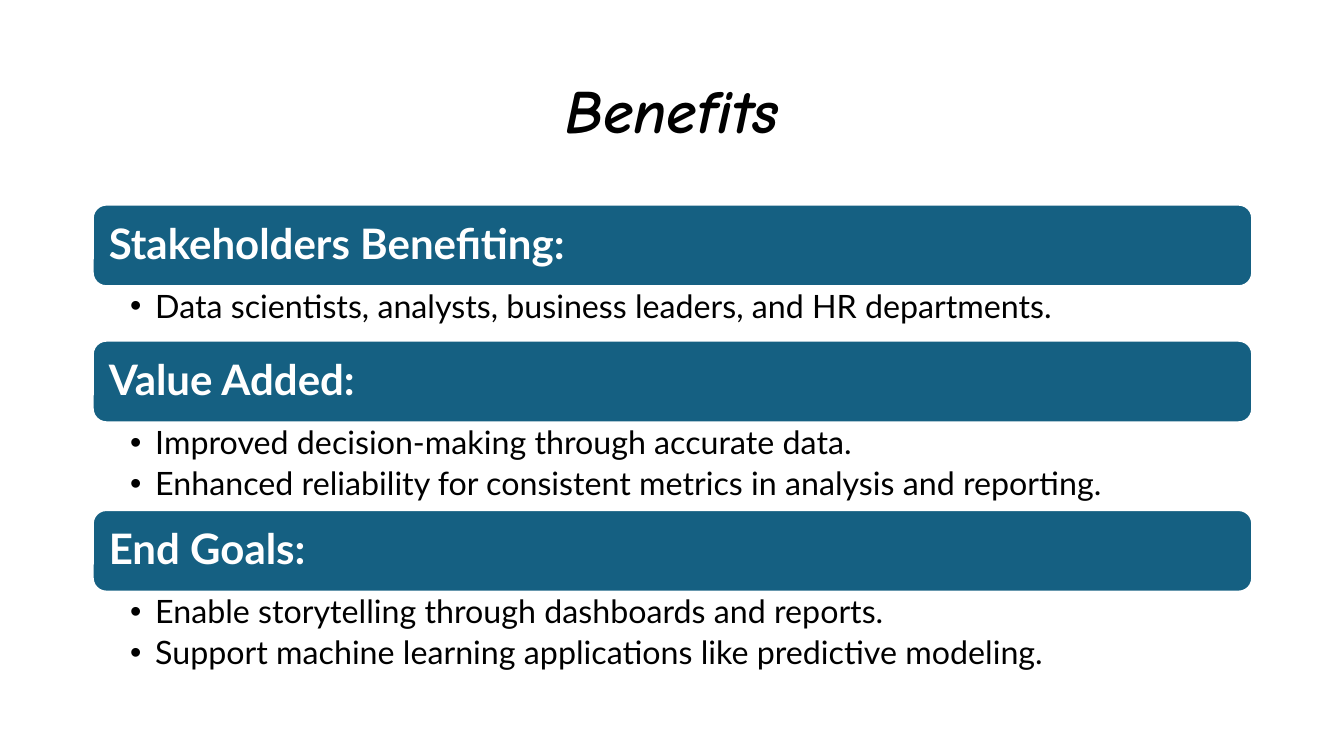
from pptx import Presentation
from pptx.dml.color import RGBColor as RGB
from pptx.enum.shapes import MSO_SHAPE as SHAPE
from pptx.enum.text import MSO_ANCHOR as ANCHOR, PP_ALIGN as ALIGN
from pptx.oxml.ns import qn
from pptx.util import Inches, Pt
from lxml import etree

COLORS = {"bar": "156082", "white": "FFFFFF", "black": "000000"}
LEFT, WIDTH = 0.92, 11.5
TOP, BAR = 2.03, 0.81
DEPTHS = {1: 0.54, 2: 0.87}  # list height by number of points

GROUPS = [
    ("Stakeholders Benefiting:", [
        "Data scientists, analysts, business leaders, and HR departments.",
    ]),
    ("Value Added:", [
        "Improved decision-making through accurate data.",
        "Enhanced reliability for consistent metrics in analysis and reporting.",
    ]),
    ("End Goals:", [
        "Enable storytelling through dashboards and reports.",
        "Support machine learning applications like predictive modeling.",
    ]),
]


def color(name):
    return RGB.from_string(COLORS[name])


def set_frame(frame, anchor, left, top, right, bottom):
    frame.word_wrap = True
    frame.vertical_anchor = anchor
    frame.margin_left, frame.margin_right = Inches(left), Inches(right)
    frame.margin_top, frame.margin_bottom = Inches(top), Inches(bottom)


def style(para, size, shade, face="Lato", bold=False, italic=False, align=ALIGN.LEFT):
    para.alignment = align
    para.line_spacing = 0.9
    for run in para.runs:
        font = run.font
        font.name, font.size = face, Pt(size)
        font.bold, font.italic = bold, italic
        font.color.rgb = color(shade)


def add_bullet(para):
    props = para._p.get_or_add_pPr()
    props.set("marL", str(Inches(0.25)))
    props.set("indent", str(Inches(-0.25)))
    etree.SubElement(props, qn("a:buFont")).set("typeface", "Arial")
    etree.SubElement(props, qn("a:buChar")).set("char", "•")


def add_title(slide, text):
    box = slide.shapes.add_textbox(
        Inches(LEFT), Inches(0.4), Inches(WIDTH), Inches(1.45))
    frame = box.text_frame
    set_frame(frame, ANCHOR.MIDDLE, 0.1, 0.05, 0.1, 0.05)
    frame.text = text
    style(frame.paragraphs[0], 44, "black", "Comic Neue", True, True, ALIGN.CENTER)


def add_bar(slide, top, text):
    bar = slide.shapes.add_shape(
        SHAPE.ROUNDED_RECTANGLE,
        Inches(LEFT), Inches(top), Inches(WIDTH), Inches(BAR))
    bar.shadow.inherit = False
    bar.fill.solid()
    bar.fill.fore_color.rgb = color("bar")
    bar.line.color.rgb = color("white")
    bar.line.width = Pt(1.5)
    frame = bar.text_frame
    set_frame(frame, ANCHOR.MIDDLE, 0.12, 0.12, 0.12, 0.12)
    frame.text = text
    style(frame.paragraphs[0], 30, "white", bold=True)


def add_list(slide, top, depth, points):
    box = slide.shapes.add_textbox(
        Inches(LEFT), Inches(top), Inches(WIDTH), Inches(depth))
    frame = box.text_frame
    set_frame(frame, ANCHOR.TOP, 0.37, 0.04, 0.23, 0.04)
    frame.text = "\n".join(points)
    for para in frame.paragraphs:
        para.level = 1
        style(para, 23, "black")
        para.space_after = Pt(4.6)
        add_bullet(para)


def main():
    deck = Presentation()
    deck.slide_width, deck.slide_height = Inches(13.33), Inches(7.5)
    slide = deck.slides.add_slide(deck.slide_layouts[6])
    add_title(slide, "Benefits")
    top = TOP
    for head, points in GROUPS:
        depth = DEPTHS[len(points)]
        add_bar(slide, top, head)
        add_list(slide, top + BAR, depth, points)
        top += BAR + depth
    deck.save("out.pptx")


if __name__ == "__main__":
    main()
